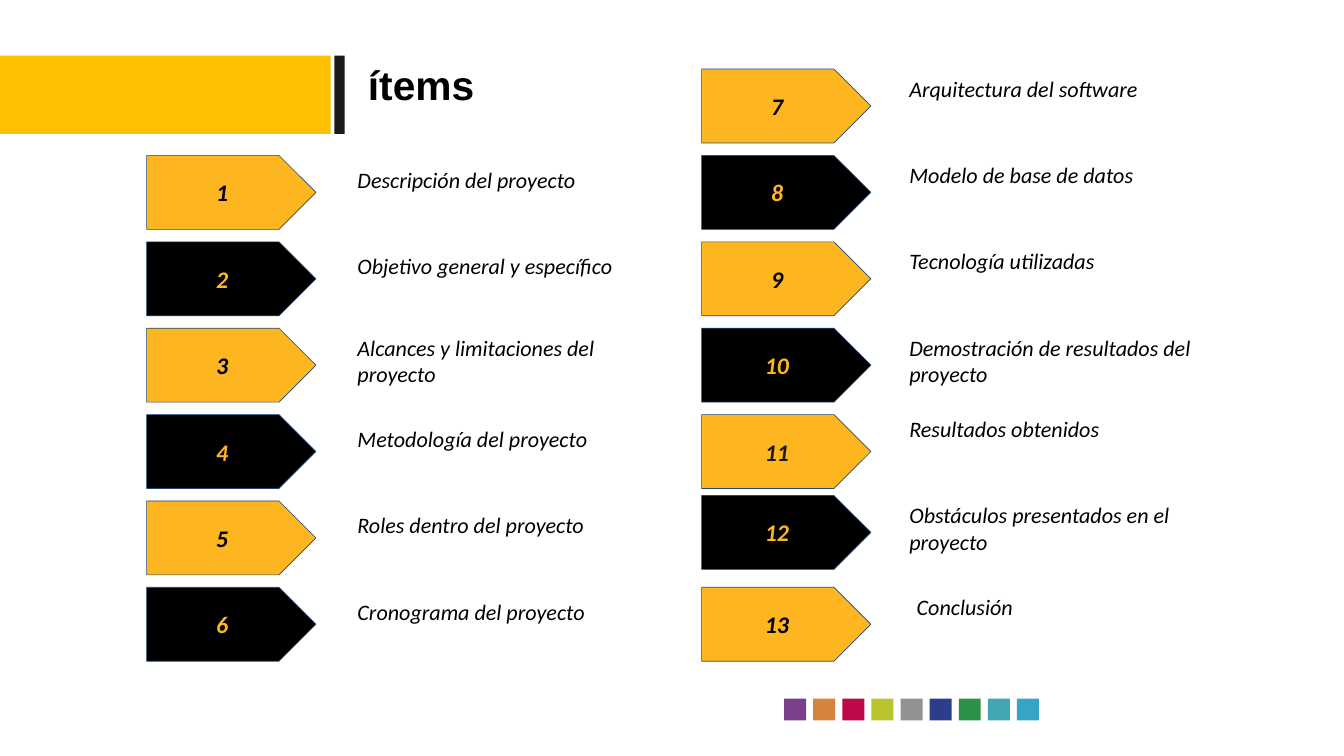
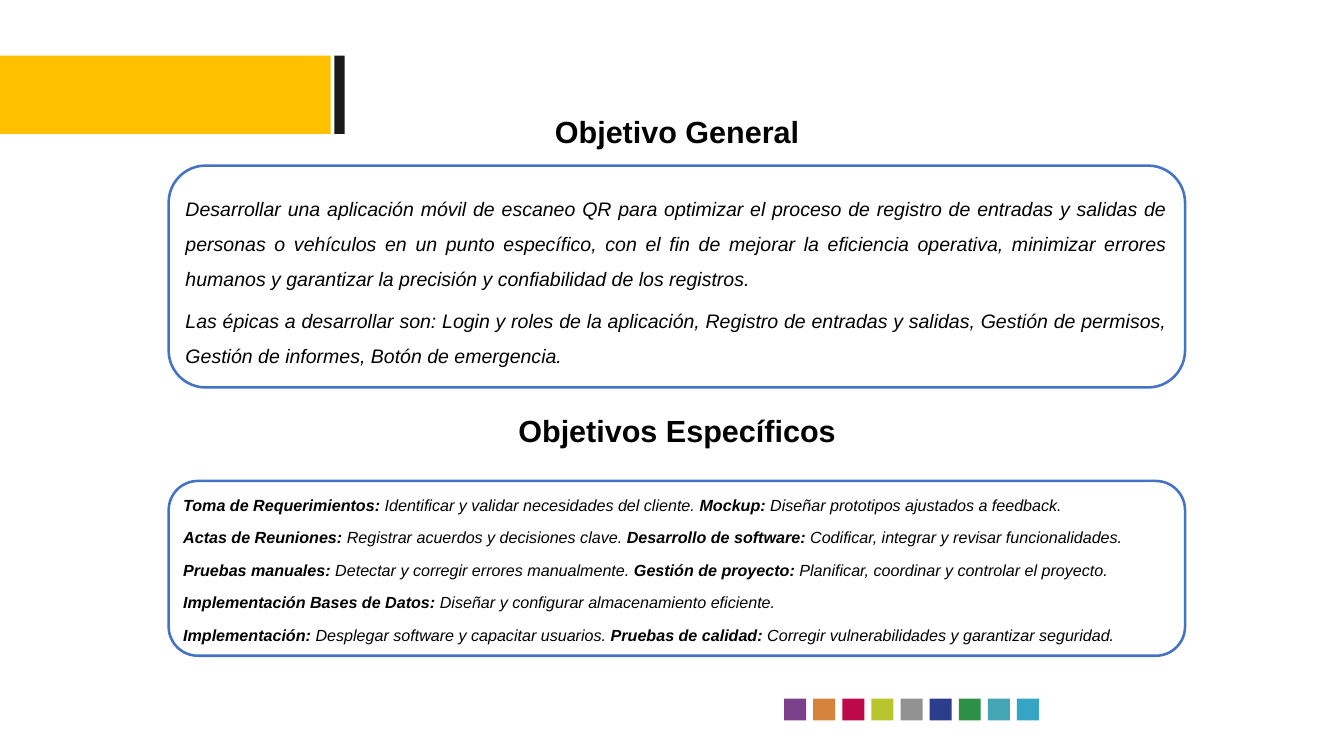
from dataclasses import dataclass

from pptx import Presentation
from pptx.dml.color import RGBColor
from pptx.enum import shapes, text
from pptx.util import Inches, Pt

COLORS = {
    "white": "FFFFFF",
    "black": "000000",
    "band": "FFC000",
    "ink": "1A1A1A",
    "amber": "FEB620",
    "navy": "1F497D",
    "blue": "4472C4",
}
SWATCHES = ["7B408A", "D6843D", "BD0949", "BAC52E", "929292",
            "2C3E8B", "2C9146", "44A6B5", "35A4C5"]
SWATCH_LEFT, SWATCH_LAST = 12.83, 16.64
ROW_TOP, ROW_LAST, ROW_COUNT = 1.13, 9.61, 7
ROW_PITCH = (ROW_LAST - ROW_TOP) / (ROW_COUNT - 1)


@dataclass
class Item:
    """One agenda entry; shifts are inches away from the row grid."""
    label: str
    label_shift: float = 0
    arrow_shift: float = 0
    indent: float = 0
    dark_ink: str = COLORS["black"]


@dataclass
class Column:
    arrow_left: float
    label_left: float
    first_row: int
    first_number: int
    items: list[Item]


@dataclass
class Style:
    size: float
    font: str = "Arial"
    color: str = COLORS["black"]
    bold: bool = False
    italic: bool = False


COLUMNS = [
    Column(2.4, 5.75, 1, 1, [
        Item("Descripción del proyecto", 0.08),
        Item("Objetivo general y específico", 0.08),
        Item("Alcances y limitaciones del proyecto"),
        Item("Metodología del proyecto", 0.08),
        Item("Roles dentro del proyecto", 0.08),
        Item("Cronograma del proyecto", 0.08),
    ]),
    Column(11.48, 14.78, 0, 7, [
        Item("Arquitectura del software"),
        Item("Modelo de base de datos"),
        Item("Tecnología utilizadas"),
        Item("Demostración de resultados del proyecto"),
        Item("Resultados obtenidos", -0.08, dark_ink=COLORS["ink"]),
        Item("Obstáculos presentados en el proyecto", -0.09, -0.09),
        Item("Conclusión", indent=0.12),
    ]),
]

GENERAL_GOAL = [
    "Desarrollar una aplicación móvil de escaneo QR para optimizar el proceso de "
    "registro de entradas y salidas de personas o vehículos en un punto específico, "
    "con el fin de mejorar la eficiencia operativa, minimizar errores humanos y "
    "garantizar la precisión y confiabilidad de los registros.",
    "Las épicas a desarrollar son: Login y roles de la aplicación, Registro de "
    "entradas y salidas, Gestión de permisos, Gestión de informes, Botón de emergencia.",
]
SPECIFIC_GOALS = [
    [("Toma de Requerimientos:", "Identificar y validar necesidades del cliente."),
     ("Mockup:", "Diseñar prototipos ajustados a feedback.")],
    [("Actas de Reuniones:", "Registrar acuerdos y decisiones clave."),
     ("Desarrollo de software:", "Codificar, integrar y revisar funcionalidades.")],
    [("Pruebas manuales:", "Detectar y corregir errores manualmente."),
     ("Gestión de proyecto:", "Planificar, coordinar y controlar el proyecto.")],
    [("Implementación Bases de Datos:", "Diseñar y configurar almacenamiento eficiente.")],
    [("Implementación:", "Desplegar software y capacitar usuarios."),
     ("Pruebas de calidad:", "Corregir vulnerabilidades y garantizar seguridad.")],
]


def rgb(color: str) -> RGBColor:
    return RGBColor.from_string(color)


def add_box(page, kind, left: float, top: float, width: float, height: float,
            fill: str, line: str | None = None, line_width: float = 0):
    box = page.shapes.add_shape(kind, Inches(left), Inches(top),
                                Inches(width), Inches(height))
    box.shadow.inherit = False
    box.fill.solid()
    box.fill.fore_color.rgb = rgb(fill)
    if line:
        box.line.color.rgb = rgb(line)
        box.line.width = Pt(line_width)
    else:
        box.line.fill.background()
    return box


def set_frame(frame, side: float, upright: float, anchor=text.MSO_ANCHOR.TOP) -> None:
    frame.word_wrap = True
    frame.vertical_anchor = anchor
    frame.margin_left = frame.margin_right = Inches(side)
    frame.margin_top = frame.margin_bottom = Inches(upright)


def style_span(span, style: Style) -> None:
    font = span.font
    font.size, font.name = Pt(style.size), style.font
    font.bold, font.italic = style.bold, style.italic
    font.color.rgb = rgb(style.color)


def write(frame, content: str, style: Style, align=text.PP_ALIGN.LEFT) -> None:
    """Fill a frame, one paragraph for each line of content."""
    frame.text = content
    for para in frame.paragraphs:
        para.alignment = align
        for span in para.runs:
            style_span(span, style)


def add_text(page, left: float, top: float, width: float, height: float,
             content: str, style: Style, align=text.PP_ALIGN.LEFT,
             side: float = 0.1, upright: float = 0.1) -> None:
    box = page.shapes.add_textbox(Inches(left), Inches(top),
                                  Inches(width), Inches(height))
    set_frame(box.text_frame, side, upright)
    write(box.text_frame, content, style, align)


def add_page(deck):
    """Add a slide with the title band and the row of colour swatches."""
    page = deck.slides.add_slide(deck.slide_layouts[6])
    rectangle = shapes.MSO_SHAPE.RECTANGLE
    add_box(page, rectangle, 0, 0.91, 5.41, 1.28, COLORS["band"])
    add_box(page, rectangle, 5.47, 0.91, 0.17, 1.28, COLORS["ink"])
    pitch = (SWATCH_LAST - SWATCH_LEFT) / (len(SWATCHES) - 1)
    for index, color in enumerate(SWATCHES):
        add_box(page, rectangle, SWATCH_LEFT + index * pitch, 11.43, 0.36, 0.36, color)
    return page


def add_item(page, column: Column, index: int, item: Item) -> None:
    number = column.first_number + index
    top = ROW_TOP + (column.first_row + index) * ROW_PITCH
    if number % 2:
        fill, ink = COLORS["amber"], item.dark_ink
    else:
        fill, ink = COLORS["black"], COLORS["amber"]
    arrow = add_box(page, shapes.MSO_SHAPE.PENTAGON, column.arrow_left,
                    top + item.arrow_shift, 2.77, 1.21, fill, COLORS["navy"], 0.75)
    set_frame(arrow.text_frame, 0.1, 0.1, text.MSO_ANCHOR.MIDDLE)
    write(arrow.text_frame, str(number), Style(28, "Calibri", ink, True, True),
          text.PP_ALIGN.CENTER)
    add_text(page, column.label_left + item.indent, top + item.label_shift, 4.81, 1.06,
             item.label, Style(26, "Calibri", italic=True))


def build_agenda(deck) -> None:
    page = add_page(deck)
    add_text(page, 6.02, 0.97, 10.36, 0.81, "ítems", Style(48, bold=True),
             side=0, upright=0)
    for column in COLUMNS:
        for index, item in enumerate(column.items):
            add_item(page, column, index, item)


def add_goal_panel(page, heading: str, heading_top: float, top: float,
                   height: float, anchor):
    """Add a heading over a rounded panel and return the panel's text frame."""
    add_text(page, 1.83, heading_top, 18.5, 0.71, heading, Style(36, bold=True),
             text.PP_ALIGN.CENTER, upright=0.05)
    panel = add_box(page, shapes.MSO_SHAPE.ROUNDED_RECTANGLE, 2.76, top, 16.63, height,
                    COLORS["white"], COLORS["blue"], 3)
    set_frame(panel.text_frame, 0.1, 0.05, anchor)
    return panel.text_frame


def build_goals(deck) -> None:
    page = add_page(deck)
    frame = add_goal_panel(page, "Objetivo General", 1.8, 2.71, 3.63,
                           text.MSO_ANCHOR.MIDDLE)
    write(frame, "\n".join(GENERAL_GOAL), Style(23, italic=True), text.PP_ALIGN.JUSTIFY)
    for para in frame.paragraphs:
        para.line_spacing = 1.5
    frame.paragraphs[-1].space_before = frame.paragraphs[-1].space_after = Pt(8)

    frame = add_goal_panel(page, "Objetivos Específicos", 6.69, 7.87, 2.86,
                           text.MSO_ANCHOR.TOP)
    for row, goals in enumerate(SPECIFIC_GOALS):
        para = frame.add_paragraph() if row else frame.paragraphs[0]
        para.alignment = text.PP_ALIGN.JUSTIFY
        para.line_spacing = 1.15
        para.space_before = Pt(12 if row else 0)
        for index, (lead, detail) in enumerate(goals):
            gap = " " if index else ""
            for words, bold in ((gap + lead, True), (" " + detail, False)):
                span = para.add_run()
                span.text = words
                style_span(span, Style(19, bold=bold, italic=True))


def main() -> None:
    deck = Presentation()
    deck.slide_width, deck.slide_height = Inches(21.99), Inches(12.37)
    build_agenda(deck)
    build_goals(deck)
    deck.save("out.pptx")


if __name__ == "__main__":
    main()
